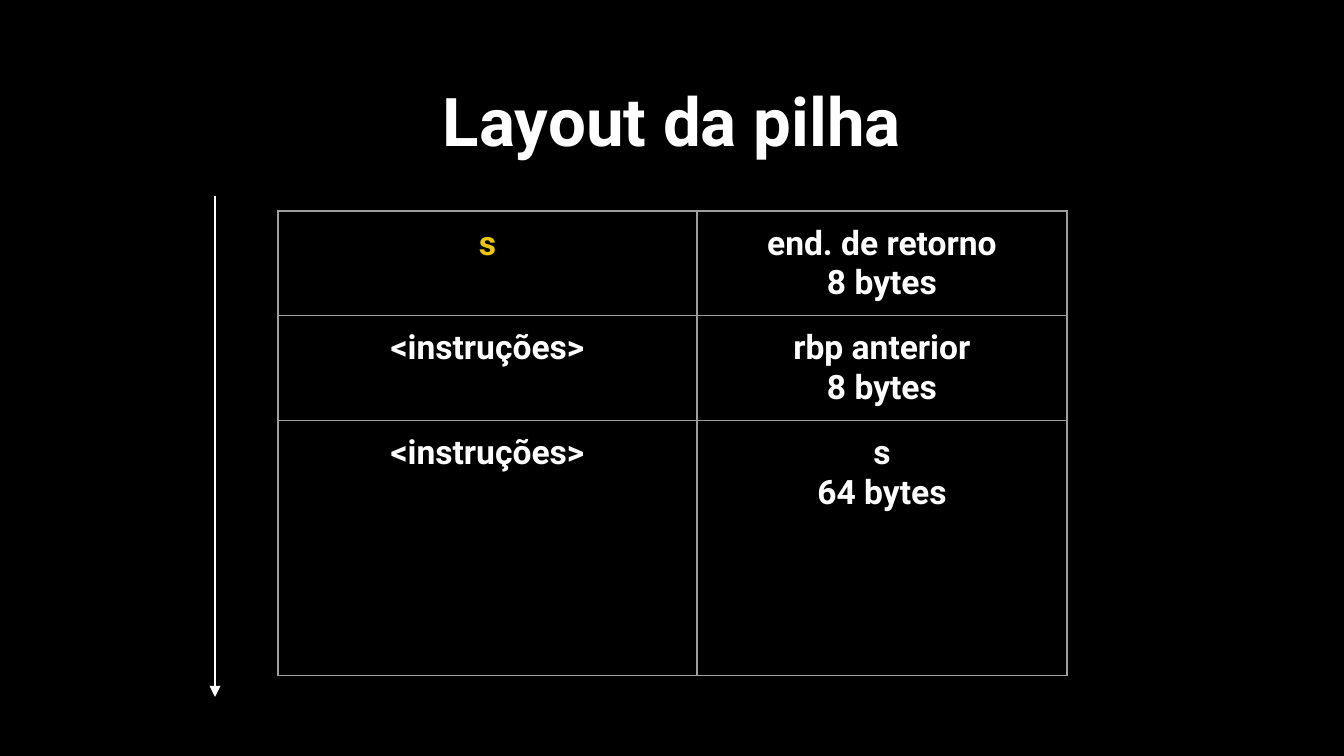
"""Builds a slide showing the stack layout as a table beside a downward arrow."""
from lxml.etree import SubElement
from pptx import Presentation
from pptx.dml.color import RGBColor
from pptx.enum.shapes import MSO_CONNECTOR
from pptx.enum.text import MSO_ANCHOR, MSO_AUTO_SIZE, PP_ALIGN
from pptx.oxml import parse_xml
from pptx.oxml.ns import nsdecls, qn
from pptx.util import Pt

BLACK = RGBColor(0x00, 0x00, 0x00)
WHITE = RGBColor(0xFF, 0xFF, 0xFF)
YELLOW = RGBColor(0xEB, 0xC7, 0x00)
GRAY = RGBColor(0x9E, 0x9E, 0x9E)

TITLE = "Layout da pilha"
STACK = [
    (("s", YELLOW), ("end. de retorno\n8 bytes", WHITE)),
    (("<instruções>", WHITE), ("rbp anterior\n8 bytes", WHITE)),
    (("<instruções>", WHITE), ("s\n64 bytes", WHITE)),
]
COLUMN_WIDTHS = (419, 370)
ROW_HEIGHTS = (95, 95, 255)
INSET = 13


def px(length):
    return round(length * 914400 / 134.4)


def write(frame, text, size=18, color=WHITE):
    frame.text = text
    for paragraph in frame.paragraphs:
        paragraph.alignment = PP_ALIGN.CENTER
        font = paragraph.runs[0].font
        font.name, font.size, font.bold = "Roboto", Pt(size), True
        font.color.rgb = color


def set_insets(holder):
    holder.margin_left = holder.margin_right = px(INSET)
    holder.margin_top = holder.margin_bottom = px(INSET)
    holder.vertical_anchor = MSO_ANCHOR.TOP


def add_borders(cell):
    properties = cell._tc.get_or_add_tcPr()
    for position, side in enumerate(("lnL", "lnR", "lnT", "lnB")):
        properties.insert(position, parse_xml(
            f'<a:{side} {nsdecls("a")} w="{Pt(0.75)}"><a:solidFill>'
            f'<a:srgbClr val="{GRAY}"/></a:solidFill></a:{side}>'))


def add_title(slide):
    title = slide.shapes.title
    title.left, title.top, title.width, title.height = map(px, (46, 66, 1252, 85))
    frame = title.text_frame
    set_insets(frame)
    frame.auto_size = MSO_AUTO_SIZE.NONE
    write(frame, TITLE, size=36)


def add_stack(slide):
    stack = slide.shapes.add_table(
        len(STACK), len(COLUMN_WIDTHS), px(278), px(211),
        px(sum(COLUMN_WIDTHS)), px(sum(ROW_HEIGHTS))).table
    stack.first_row = stack.horz_banding = False
    for column, width in zip(stack.columns, COLUMN_WIDTHS):
        column.width = px(width)
    for row, height, entries in zip(stack.rows, ROW_HEIGHTS, STACK):
        row.height = px(height)
        for cell, (text, color) in zip(row.cells, entries):
            set_insets(cell)
            cell.fill.background()
            add_borders(cell)
            write(cell.text_frame, text, color=color)


def add_growth_arrow(slide):
    arrow = slide.shapes.add_connector(
        MSO_CONNECTOR.STRAIGHT, px(215), px(196), px(215), px(697))
    arrow.line.color.rgb = WHITE
    arrow.line.width = Pt(0.75)
    SubElement(arrow.line._get_or_add_ln(), qn("a:tailEnd"), type="triangle")
    SubElement(arrow._element.spPr, qn("a:effectLst"))


def main():
    deck = Presentation()
    deck.slide_width, deck.slide_height = px(1344), px(756)
    slide = deck.slides.add_slide(deck.slide_layouts[5])
    slide.background.fill.solid()
    slide.background.fill.fore_color.rgb = BLACK
    add_title(slide)
    add_stack(slide)
    add_growth_arrow(slide)
    deck.save("out.pptx")


if __name__ == "__main__":
    main()
